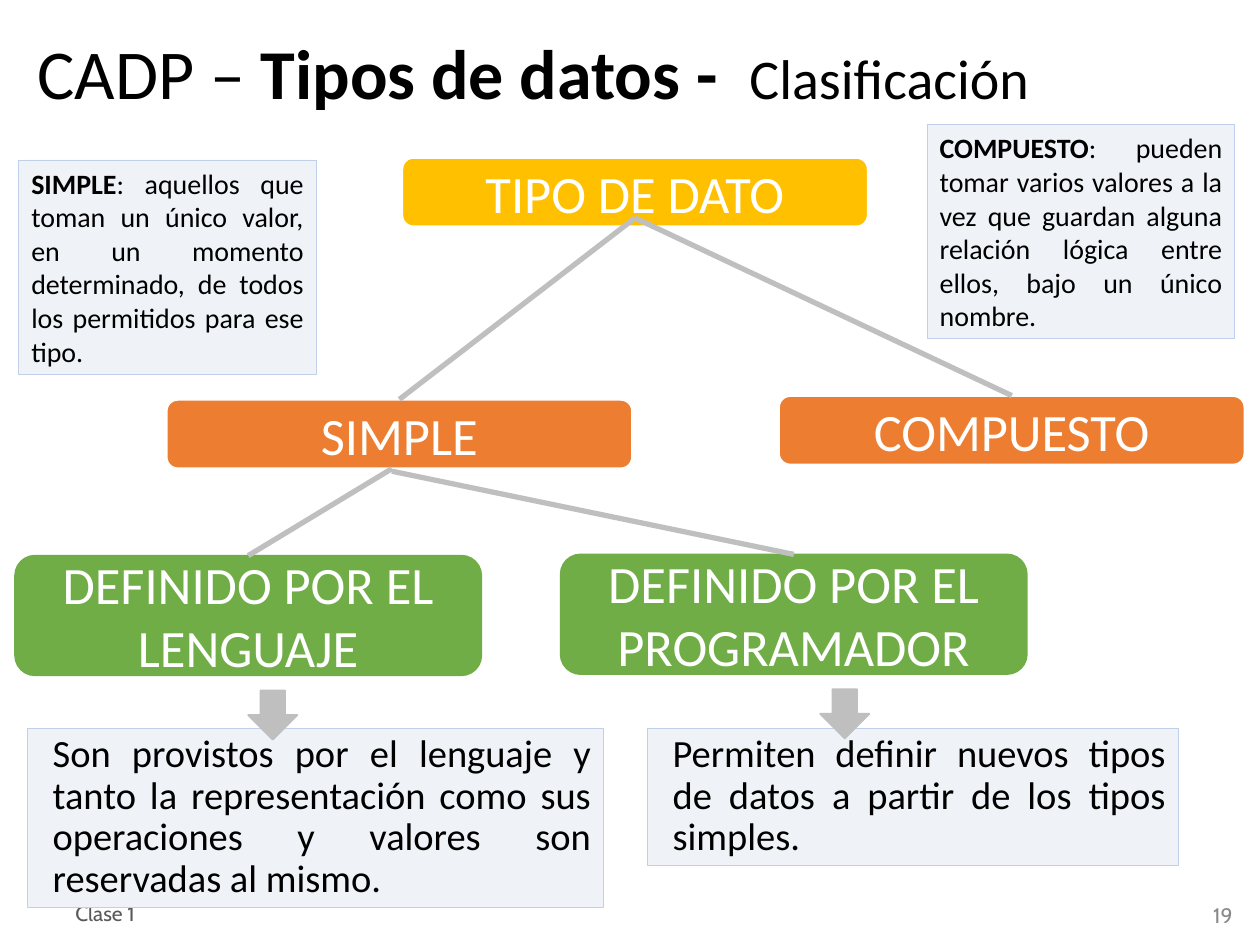
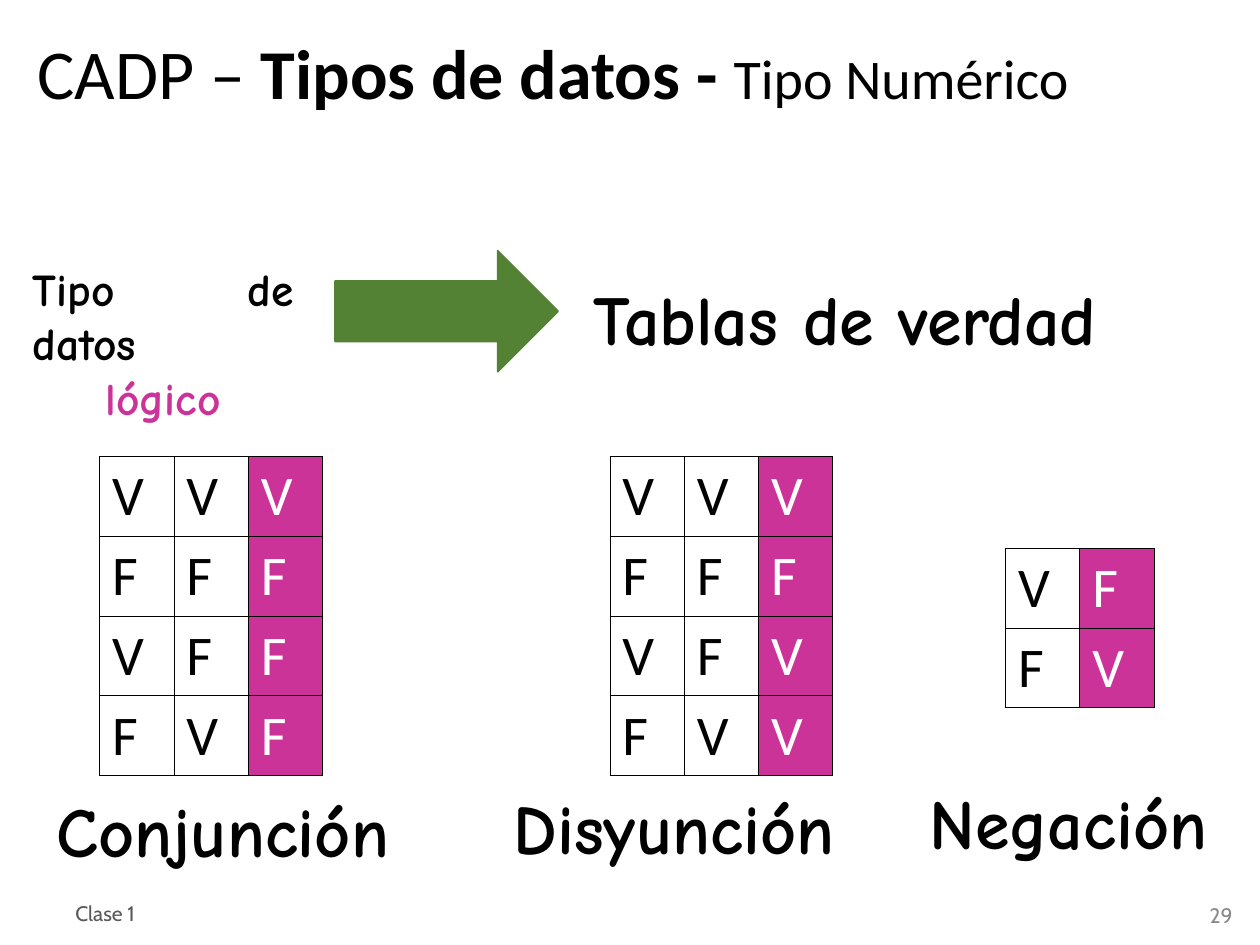
from dataclasses import dataclass
from typing import Optional

import lxml.etree
import pptx
import pptx.dml.color
import pptx.enum.shapes
import pptx.enum.text
import pptx.oxml
import pptx.oxml.ns
import pptx.util

Inches = pptx.util.Inches
Pt = pptx.util.Pt
RGBColor = pptx.dml.color.RGBColor
Shapes = pptx.enum.shapes.MSO_SHAPE
Align = pptx.enum.text.PP_ALIGN
Anchor = pptx.enum.text.MSO_ANCHOR

BLACK = RGBColor(0x00, 0x00, 0x00)
WHITE = RGBColor(0xFF, 0xFF, 0xFF)
GOLD = RGBColor(0xFF, 0xC0, 0x00)
ORANGE = RGBColor(0xED, 0x7D, 0x31)
GREEN = RGBColor(0x70, 0xAD, 0x47)
DARK_GREEN = RGBColor(0x54, 0x82, 0x35)
MAGENTA = RGBColor(0xCC, 0x33, 0x99)
SILVER = RGBColor(0xBF, 0xBF, 0xBF)
NOTE_FILL = RGBColor(0xEF, 0xF3, 0xF7)
NOTE_LINE = RGBColor(0xC1, 0xD0, 0xE9)
FOOTER_GRAY = RGBColor(0x59, 0x59, 0x59)
NUMBER_GRAY = RGBColor(0x89, 0x89, 0x89)

BODY_FONT = "Calibri"
FOOTER_FONT = "Cabin"
COMIC_FONT = "Comic Neue"

NODE_WIDTH = 3.7
CELL_WIDTH = 0.59
CELL_HEIGHT = 0.63


@dataclass(frozen=True)
class Box:
    left: float
    top: float
    width: float
    height: float

    def lengths(self) -> tuple:
        return tuple(Inches(v) for v in (self.left, self.top, self.width, self.height))


@dataclass(frozen=True)
class TextStyle:
    size: float
    font: str = BODY_FONT
    color: RGBColor = BLACK
    bold: Optional[bool] = False
    align: Align = Align.LEFT
    anchor: Anchor = Anchor.TOP
    spacing: Optional[float] = None


@dataclass(frozen=True)
class Paint:
    fill: RGBColor
    line: RGBColor
    width: float


@dataclass(frozen=True)
class Node:
    text: str
    left: float
    top: float
    height: float
    paint: Paint
    line_start: Optional[tuple[float, float]] = None


@dataclass(frozen=True)
class Note:
    box: Box
    term: str
    text: str


@dataclass(frozen=True)
class Explanation:
    box: Box
    text: str
    arrow: Box


@dataclass(frozen=True)
class TruthTable:
    caption: str
    caption_box: Box
    left: float
    top: float
    rows: tuple[str, ...]


TITLE = TextStyle(40, bold=None, anchor=Anchor.MIDDLE, spacing=0.9)
FOOTER = TextStyle(12, FOOTER_FONT, FOOTER_GRAY, anchor=Anchor.MIDDLE)
NUMBER = TextStyle(12, FOOTER_FONT, NUMBER_GRAY, align=Align.RIGHT, anchor=Anchor.MIDDLE)
NODE = TextStyle(30, color=WHITE, align=Align.CENTER, anchor=Anchor.MIDDLE)
NOTE = TextStyle(16, bold=None, align=Align.JUSTIFY)
EXPLANATION = TextStyle(22, align=Align.JUSTIFY, spacing=0.9)
HEADING = TextStyle(40, COMIC_FONT, bold=True, align=Align.JUSTIFY)
TOPIC = TextStyle(26, COMIC_FONT, bold=True, align=Align.JUSTIFY)
TOPIC_NAME = TextStyle(26, COMIC_FONT, MAGENTA, True, Align.CENTER)

ROOT_PAINT = Paint(GOLD, WHITE, 1.5)
KIND_PAINT = Paint(ORANGE, WHITE, 1.5)
ORIGIN_PAINT = Paint(GREEN, GREEN, 1)
NOTE_PAINT = Paint(NOTE_FILL, NOTE_LINE, 0.5)
ARROW_PAINT = Paint(SILVER, SILVER, 1)
TOPIC_ARROW_PAINT = Paint(DARK_GREEN, DARK_GREEN, 1)

NODES = (
    Node("TIPO DE DATO", 3.19, 1.25, 0.55, ROOT_PAINT),
    Node("SIMPLE", 1.32, 3.17, 0.55, KIND_PAINT, (5.04, 1.73)),
    Node("COMPUESTO", 6.18, 3.14, 0.55, KIND_PAINT, (5.04, 1.73)),
    Node("DEFINIDO POR EL LENGUAJE", 0.12, 4.41, 0.95, ORIGIN_PAINT, (3.11, 3.72)),
    Node("DEFINIDO POR EL PROGRAMADOR", 4.45, 4.4, 0.95, ORIGIN_PAINT, (3.11, 3.74)),
)
EXPLANATIONS = (
    Explanation(
        Box(0.22, 5.78, 4.57, 1.42),
        "Son provistos por el lenguaje y tanto la representación como sus "
        "operaciones y valores son reservadas al mismo.",
        Box(1.97, 5.48, 0.39, 0.39),
    ),
    Explanation(
        Box(5.14, 5.78, 4.21, 1.09),
        "Permiten definir nuevos tipos de datos a partir de los tipos simples.",
        Box(6.51, 5.47, 0.39, 0.39),
    ),
)
NOTES = (
    Note(
        Box(0.15, 1.27, 2.36, 1.7),
        "SIMPLE",
        ": aquellos que toman un único valor, en un momento determinado, "
        "de todos los permitidos para ese tipo.",
    ),
    Note(
        Box(7.36, 0.99, 2.44, 1.7),
        "COMPUESTO",
        ": pueden tomar varios valores a la vez que guardan alguna relación "
        "lógica entre ellos, bajo un único nombre.",
    ),
)
TRUTH_TABLES = (
    TruthTable("Conjunción", Box(0.35, 6.2, 3.03, 1.44), 0.79, 3.62,
               ("VVV", "FFF", "VFF", "FVF")),
    TruthTable("Disyunción", Box(3.98, 6.18, 3.03, 1.44), 4.84, 3.62,
               ("VVV", "FFF", "VFV", "FVV")),
    TruthTable("Negación", Box(7.28, 6.14, 2.59, 1.44), 7.98, 4.35, ("VF", "FV")),
)


def style_paragraph(paragraph, style: TextStyle) -> None:
    paragraph.alignment = style.align
    paragraph.line_spacing = style.spacing
    paragraph.font.size = Pt(style.size)
    paragraph.font.name = style.font
    paragraph.font.bold = style.bold
    paragraph.font.color.rgb = style.color


def write(shape, text: str, style: TextStyle):
    frame = shape.text_frame
    frame.word_wrap = True
    frame.vertical_anchor = style.anchor
    paragraph = frame.paragraphs[0]
    if text:
        paragraph.text = text
    style_paragraph(paragraph, style)
    return paragraph


def add_run(paragraph, text: str, bold: bool, size: Optional[float] = None) -> None:
    run = paragraph.add_run()
    run.text = text
    run.font.bold = bold
    if size:
        run.font.size = Pt(size)


def add_text(slide, box: Box, text: str, style: TextStyle):
    return write(slide.shapes.add_textbox(*box.lengths()), text, style)


def add_painted(slide, kind: Shapes, box: Box, paint: Paint):
    shape = slide.shapes.add_shape(kind, *box.lengths())
    shape.shadow.inherit = False
    shape.fill.solid()
    shape.fill.fore_color.rgb = paint.fill
    shape.line.color.rgb = paint.line
    shape.line.width = Pt(paint.width)
    return shape


def add_node(slide, node: Node) -> None:
    box = Box(node.left, node.top, NODE_WIDTH, node.height)
    shape = add_painted(slide, Shapes.ROUNDED_RECTANGLE, box, node.paint)
    write(shape, node.text, NODE)
    if node.line_start:
        x, y = (Inches(value) for value in node.line_start)
        connector = slide.shapes.add_connector(
            pptx.enum.shapes.MSO_CONNECTOR.STRAIGHT, x, y, x, y)
        connector.end_connect(shape, 0)
        connector.line.color.rgb = SILVER
        connector.line.width = Pt(3)
        lxml.etree.SubElement(connector._element.spPr, pptx.oxml.ns.qn("a:effectLst"))


def add_explanation(slide, explanation: Explanation) -> None:
    shape = add_painted(slide, Shapes.RECTANGLE, explanation.box, NOTE_PAINT)
    paragraph = write(shape, explanation.text, EXPLANATION)
    paragraph._p.get_or_add_pPr().set("marL", str(Inches(0.1)))
    add_painted(slide, Shapes.DOWN_ARROW, explanation.arrow, ARROW_PAINT)


def add_note(slide, note: Note) -> None:
    shape = add_painted(slide, Shapes.RECTANGLE, note.box, NOTE_PAINT)
    paragraph = write(shape, "", NOTE)
    add_run(paragraph, note.term, True)
    add_run(paragraph, note.text, False)


def add_cell_borders(cell) -> None:
    properties = cell._tc.get_or_add_tcPr()
    for side in ("lnL", "lnR", "lnT", "lnB"):
        properties.append(pptx.oxml.parse_xml(
            f'<a:{side} {pptx.oxml.ns.nsdecls("a")} w="{Pt(0.45)}">'
            f'<a:solidFill><a:srgbClr val="{BLACK}"/></a:solidFill></a:{side}>'))


def add_truth_table(slide, truth_table: TruthTable) -> None:
    rows = truth_table.rows
    columns = len(rows[0])
    box = Box(truth_table.left, truth_table.top,
              columns * CELL_WIDTH, len(rows) * CELL_HEIGHT)
    table = slide.shapes.add_table(len(rows), columns, *box.lengths()).table
    table.first_row = False
    table.horz_banding = False
    for row_index, values in enumerate(rows):
        for column_index, value in enumerate(values):
            is_result = column_index == columns - 1
            cell = table.cell(row_index, column_index)
            cell.text = value
            style_paragraph(cell.text_frame.paragraphs[0],
                            TextStyle(32, color=WHITE if is_result else BLACK))
            add_cell_borders(cell)
            if is_result:
                cell.fill.solid()
                cell.fill.fore_color.rgb = MAGENTA
            else:
                cell.fill.background()


def add_base_slide(presentation, number: str, lead: str, subject: str):
    slide = presentation.slides.add_slide(presentation.slide_layouts[6])
    add_text(slide, Box(7.63, 7.06, 2.25, 0.4), number, NUMBER)
    add_text(slide, Box(0.5, 7.05, 2.33, 0.4), "Clase 1", FOOTER)
    title = add_text(slide, Box(0.2, 0.23, 9.28, 0.76), "", TITLE)
    add_run(title, "CADP – ", False)
    add_run(title, lead, True)
    add_run(title, subject, False, 32)
    return slide


def build_classification(presentation) -> None:
    slide = add_base_slide(presentation, "19", "Tipos de datos -  ", "Clasificación")
    for node in NODES:
        add_node(slide, node)
    for explanation in EXPLANATIONS:
        add_explanation(slide, explanation)
    for note in NOTES:
        add_note(slide, note)


def build_truth_tables(presentation) -> None:
    slide = add_base_slide(presentation, "29", "Tipos de datos - ", "Tipo Numérico")
    topic = slide.shapes.add_textbox(*Box(0.16, 2.02, 2.27, 1.4).lengths())
    write(topic, "Tipo de datos", TOPIC)
    topic_name = topic.text_frame.add_paragraph()
    topic_name.text = "lógico"
    style_paragraph(topic_name, TOPIC_NAME)
    add_text(slide, Box(4.61, 2.14, 4.25, 1.44), "Tablas de verdad", HEADING)
    add_painted(slide, Shapes.RIGHT_ARROW, Box(2.66, 1.99, 1.77, 0.96), TOPIC_ARROW_PAINT)
    for truth_table in TRUTH_TABLES:
        add_truth_table(slide, truth_table)
        add_text(slide, truth_table.caption_box, truth_table.caption, HEADING)


def main() -> None:
    presentation = pptx.Presentation()
    presentation.slide_width = Inches(10)
    presentation.slide_height = Inches(7.5)
    build_classification(presentation)
    build_truth_tables(presentation)
    presentation.save("out.pptx")


if __name__ == "__main__":
    main()
